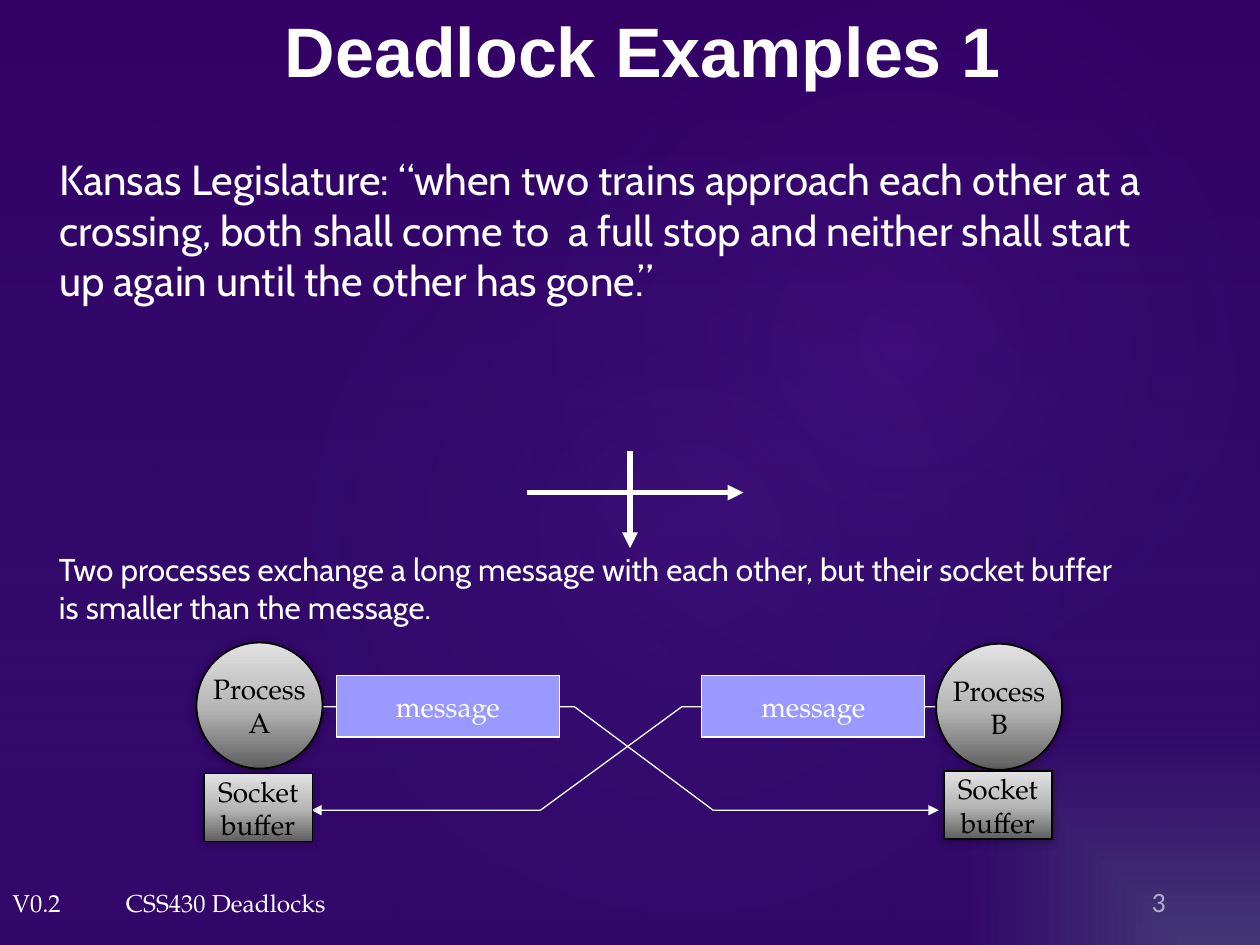
from dataclasses import dataclass, field
from typing import Optional

import pptx
import pptx.dml.color
import pptx.enum.shapes
import pptx.enum.text
import pptx.oxml
import pptx.oxml.ns
import pptx.util

Inches = pptx.util.Inches
Pt = pptx.util.Pt
RGBColor = pptx.dml.color.RGBColor
Shape = pptx.enum.shapes.MSO_SHAPE
Anchor = pptx.enum.text.MSO_ANCHOR
Align = pptx.enum.text.PP_ALIGN
AutoSize = pptx.enum.text.MSO_AUTO_SIZE
qn = pptx.oxml.ns.qn

WHITE = RGBColor(0xFF, 0xFF, 0xFF)
BLACK = RGBColor(0, 0, 0)
LAVENDER = RGBColor(0x99, 0x99, 0xFF)
PLUM = RGBColor(0x46, 0x36, 0x73)
INDIGO = RGBColor(0x35, 0x02, 0x67)
PURPLE = RGBColor(0x33, 0x00, 0x66)
NAVY = RGBColor(0x26, 0x3B, 0x86)
VIOLET = RGBColor(0xA3, 0x47, 0xFF)
DARK_GRAY = RGBColor(0x5E, 0x5E, 0x5E)
MID_GRAY = RGBColor(0xB6, 0xB6, 0xB6)
LIGHT_GRAY = RGBColor(0xE2, 0xE2, 0xE2)

SERIF = {"name": "TeX Gyre Pagella", "size": Pt(16)}
FOOTER = {"name": "TeX Gyre Pagella", "size": Pt(14)}
TITLE = {"name": "Arial", "size": Pt(40), "bold": True}
QUOTE = {"name": "Cabin", "size": Pt(24)}
BODY = {"name": "Cabin", "size": Pt(18)}
NUMBER = {"name": "Calibri", "size": Pt(16)}
FIT = {"auto_size": AutoSize.SHAPE_TO_FIT_TEXT}
MIDDLE = {"vertical_anchor": Anchor.MIDDLE}

METAL = [(0, DARK_GRAY, 100), (48, MID_GRAY, 100), (100, LIGHT_GRAY, 100)]
LINEAR = '<a:lin ang="{}" scaled="0"/>'
RADIAL = '<a:path path="{}"><a:fillToRect l="{}" t="{}" r="{}" b="{}"/></a:path>'
CENTERED = RADIAL.format("circle", *[50000] * 4)
CORNER = RADIAL.format("rect", 100000, 100000, 0, 0)


@dataclass
class Label:
    lines: list[str]
    box: tuple[float, float, float, float]
    font: dict
    frame: dict = field(default_factory=dict)
    align: Align = Align.LEFT
    wrap: bool = True
    alpha: Optional[int] = None


@dataclass
class Node:
    kind: Shape
    lines: list[str]
    box: tuple[float, float, float, float]


def xml(body: str):
    tag, rest = body.split(">", 1)
    ns = pptx.oxml.ns.nsdecls("a")
    if tag.endswith("/"):
        return pptx.oxml.parse_xml(f"{tag[:-1]} {ns}/>{rest}")
    return pptx.oxml.parse_xml(f"{tag} {ns}>{rest}")


def set_gradient(owner, fill, stops: list, direction: str) -> None:
    fill.gradient()
    old = owner.element.find(".//" + qn("a:gradFill"))
    gs = "".join(
        f'<a:gs pos="{pos * 1000}"><a:srgbClr val="{color}">'
        f'<a:alpha val="{alpha * 1000}"/></a:srgbClr></a:gs>'
        for pos, color, alpha in stops
    )
    new = xml(f'<a:gradFill rotWithShape="1"><a:gsLst>{gs}</a:gsLst>{direction}</a:gradFill>')
    old.getparent().replace(old, new)


def add_glow(s, kind: Shape, box: tuple, stops: list, direction: str, angle: float = 0) -> None:
    sp = s.shapes.add_shape(kind, *map(Inches, box))
    sp.shadow.inherit = False
    sp.rotation = angle
    sp.line.fill.background()
    set_gradient(sp, sp.fill, stops, direction)


def write(tf, lines: list[str], fmt: dict, color: RGBColor, align: Align) -> None:
    for i, line in enumerate(lines):
        p = tf.paragraphs[0] if i == 0 else tf.add_paragraph()
        p.alignment = align
        r = p.add_run()
        r.text = line
        for name, value in fmt.items():
            setattr(r.font, name, value)
        r.font.color.rgb = color


def add_label(s, label: Label) -> None:
    sp = s.shapes.add_textbox(*map(Inches, label.box))
    tf = sp.text_frame
    tf.word_wrap = label.wrap
    for name, value in label.frame.items():
        setattr(tf, name, value)
    write(tf, label.lines, label.font, WHITE, label.align)
    if label.alpha is not None:
        color = sp.element.find(".//" + qn("a:srgbClr"))
        color.append(xml(f'<a:alpha val="{label.alpha * 1000}"/>'))


def add_node(s, node: Node) -> None:
    sp = s.shapes.add_shape(node.kind, *map(Inches, node.box))
    sp.shadow.inherit = False
    is_message = node.lines == ["message"]
    if is_message:
        sp.fill.solid()
        sp.fill.fore_color.rgb = LAVENDER
    else:
        set_gradient(sp, sp.fill, METAL, LINEAR.format(16200000))
        sp.element.find(".//" + qn("a:effectLst")).append(xml(
            f'<a:outerShdw blurRad="{Pt(5)}" dist="{Pt(1)}" dir="5400000" rotWithShape="0">'
            '<a:srgbClr val="000000"><a:alpha val="32000"/></a:srgbClr></a:outerShdw>'))
    sp.line.color.rgb = WHITE if is_message else BLACK
    sp.line.width = Pt(0.75 if is_message else 1)
    tf = sp.text_frame
    tf.word_wrap = False
    tf.vertical_anchor = Anchor.MIDDLE
    write(tf, node.lines, SERIF, WHITE if is_message else BLACK, Align.CENTER)


def style_arrow(sp, width: float) -> None:
    sp.line.color.rgb = WHITE
    sp.line.width = Pt(width)
    sp.element.find(".//" + qn("a:ln")).append(xml('<a:tailEnd type="triangle"/>'))


def add_route(s, xs: list[float]) -> None:
    points = [(Inches(x), Inches(y)) for x, y in zip(xs, (5.61, 5.61, 6.43, 6.43))]
    builder = s.shapes.build_freeform(*points[0])
    builder.add_line_segments(points[1:], close=False)
    sp = builder.convert_to_shape()
    sp.shadow.inherit = False
    sp.fill.background()
    style_arrow(sp, 0.75)


def add_track(s, *ends: float) -> None:
    line = s.shapes.add_connector(pptx.enum.shapes.MSO_CONNECTOR.STRAIGHT, *map(Inches, ends))
    style_arrow(line, 3)
    line.element.spPr.append(xml("<a:effectLst/>"))


LABELS = [
    Label(["V0.2"], (0, 7, 0.59, 0.34), FOOTER, FIT, wrap=False),
    Label(["CSS430 Deadlocks"], (0.9, 7, 5.68, 0.34), FOOTER, FIT),
    Label(["Deadlock Examples 1"], (0.85, 0, 8.5, 0.79), TITLE, MIDDLE, Align.CENTER),
    Label(["3"], (8.23, 6.93, 1.12, 0.4), NUMBER,
          MIDDLE | {"margin_bottom": Inches(0.01)}, Align.RIGHT, alpha=60),
    Label(["Kansas Legislature: “when two trains approach each other at a crossing, "
           "both shall come to  a full stop and neither shall start up again until "
           "the other has gone.”"], (0.37, 1.17, 8.98, 1.31), QUOTE, FIT),
    Label(["Two processes exchange a long message with each other, but their socket buffer",
           "is smaller than the message."], (0.37, 4.32, 9.16, 0.7), BODY, FIT, wrap=False),
]

NODES = [
    Node(Shape.OVAL, ["Process", "B"], (7.43, 5.11, 1, 1)),
    Node(Shape.RECTANGLE, ["Socket", "buffer"], (7.49, 6.12, 0.86, 0.54)),
    Node(Shape.RECTANGLE, ["message"], (2.67, 5.36, 1.77, 0.49)),
    Node(Shape.RECTANGLE, ["message"], (5.57, 5.36, 1.77, 0.49)),
    Node(Shape.OVAL, ["Process", "A"], (1.56, 5.1, 1, 1)),
    Node(Shape.RECTANGLE, ["Socket", "buffer"], (1.62, 6.14, 0.86, 0.54)),
]


def main() -> None:
    prs = pptx.Presentation()
    prs.slide_width, prs.slide_height = Inches(10), Inches(7.5)
    s = prs.slides.add_slide(prs.slide_layouts[6])
    set_gradient(s, s.background.fill, [(0, PLUM, 100), (47, INDIGO, 100)], CORNER)
    add_glow(s, Shape.RECTANGLE, (0, 0, 10, 7.5),
             [(0, PURPLE, 36), (100, NAVY, 10)], LINEAR.format(5400000))
    for box, alpha in (((1.5, 1.14, 7.92, 6.24), 7), ((3.58, 0.13, 7.09, 5.2), 8)):
        add_glow(s, Shape.OVAL, box, [(0, VIOLET, alpha), (58, NAVY, 0)], CENTERED, 328.7)
    add_route(s, [7.45, 5.41, 4.29, 2.47])
    add_route(s, [2.56, 4.56, 5.66, 7.45])
    add_track(s, 4.18, 3.91, 5.9, 3.91)
    add_track(s, 5, 3.58, 5, 4.35)
    for label in LABELS:
        add_label(s, label)
    for node in NODES:
        add_node(s, node)
    prs.save("out.pptx")


if __name__ == "__main__":
    main()
